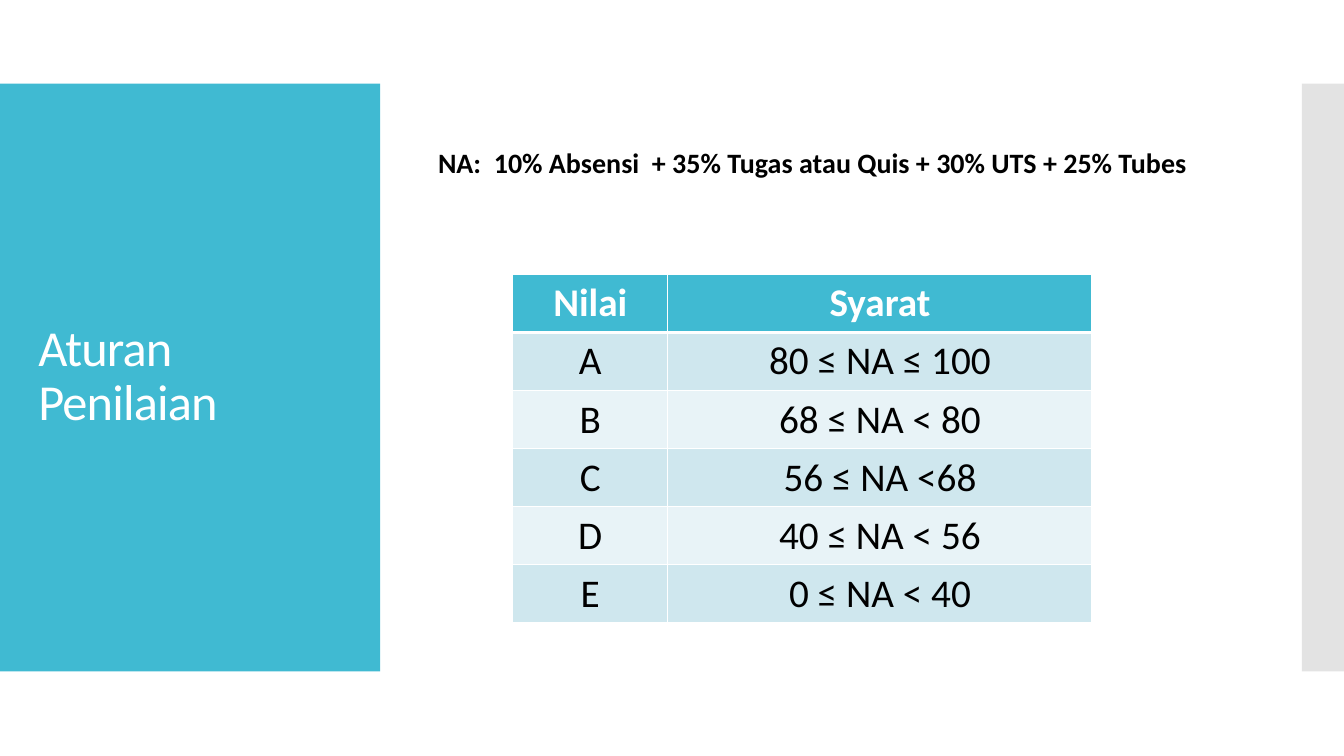
"""Build the grading rules slide."""
from lxml import etree
from pptx import Presentation
from pptx import util as u
from pptx.dml.color import RGBColor
from pptx.enum import shapes, text
from pptx.oxml import ns

TITLE = "Aturan Penilaian"
RULE = "NA:  10% Absensi  + 35% Tugas atau Quis + 30% UTS + 25% Tubes"
GRADES = [
    ("Nilai", "Syarat"),
    ("A", "80 ≤ NA ≤ 100"),
    ("B", "68 ≤ NA < 80"),
    ("C", "56 ≤ NA <68"),
    ("D", "40 ≤ NA < 56"),
    ("E", "0 ≤ NA < 40"),
]
TEAL, GREY, WHITE, BLACK = "40BAD2", "C8C8C8", "FFFFFF", "000000"
BANDS = ["E8F3F7", "CFE7EE"]
WIDTHS = [3.91, 10.69]
ROW = 1.46
PANELS = [(0, 9.58, TEAL), (32.81, 1.06, GREY)]


def paint(item, color):
    """Give a fill or line one solid colour."""
    item.fill.solid()
    item.fill.fore_color.rgb = RGBColor.from_string(color)


def style(para, size, color, bold=False):
    """Set the font of a paragraph."""
    font = para.font
    font.name, font.size, font.bold = "Calibri", u.Pt(size), bold
    font.color.rgb = RGBColor.from_string(color)


def sub(node, tag, **attrs):
    """Add a child element in the drawing namespace."""
    return etree.SubElement(node, ns.qn("a:" + tag), **attrs)


def edge(cell, head):
    """Draw the white borders of a cell."""
    props = cell._tc.get_or_add_tcPr()
    for spot, side in enumerate(("lnL", "lnR", "lnT", "lnB")):
        width = u.Pt(3 if head and side == "lnB" else 1)
        line = sub(props, side, w=str(width))
        sub(sub(line, "solidFill"), "srgbClr", val=WHITE)
        props.insert(spot, line)


def add_panels(slide):
    """Place the side panels behind the title."""
    for spot, (left, width, color) in enumerate(PANELS):
        panel = slide.shapes.add_shape(
            shapes.MSO_SHAPE.RECTANGLE, u.Cm(left), u.Cm(2.11), u.Cm(width), u.Cm(14.81))
        panel.shadow.inherit = False
        paint(panel, color)
        panel.line.fill.background()
        if color == GREY:
            tint = panel._element.spPr.find(".//" + ns.qn("a:srgbClr"))
            sub(tint, "alpha", val="50000")
        slide.shapes._spTree.insert(2 + spot, panel._element)


def add_title(slide):
    """Fill the title placeholder."""
    title = slide.shapes.title
    title.left, title.top, title.width, title.height = map(u.Cm, (0.71, 3.12, 8.18, 12.78))
    frame = title.text_frame
    frame.text = TITLE
    frame.word_wrap = True
    frame.auto_size = text.MSO_AUTO_SIZE.NONE
    frame.vertical_anchor = text.MSO_ANCHOR.MIDDLE
    para = frame.paragraphs[0]
    para.alignment, para.line_spacing = text.PP_ALIGN.LEFT, 0.9
    style(para, 36, WHITE)
    para.runs[0]._r.get_or_add_rPr().set("spc", "-60")


def add_table(slide):
    """Lay out the table of grades."""
    frame = slide.shapes.add_table(
        len(GRADES), len(WIDTHS), u.Cm(12.92), u.Cm(6.92), u.Cm(sum(WIDTHS)), u.Cm(ROW * len(GRADES)))
    table = frame.table
    for col, width in zip(table.columns, WIDTHS):
        col.width = u.Cm(width)
    for r, grade in enumerate(GRADES):
        head = r == 0
        for c, words in enumerate(grade):
            cell = table.cell(r, c)
            cell.text = words
            paint(cell, TEAL if head else BANDS[r % 2])
            edge(cell, head)
            para = cell.text_frame.paragraphs[0]
            para.alignment = text.PP_ALIGN.CENTER
            style(para, 28, WHITE if head else BLACK, head)


def add_rule(slide):
    """Write the formula above the table."""
    box = slide.shapes.add_textbox(u.Cm(10.29), u.Cm(3.12), u.Cm(20.68), u.Cm(1.4))
    frame = box.text_frame
    frame.word_wrap = True
    frame.auto_size = text.MSO_AUTO_SIZE.SHAPE_TO_FIT_TEXT
    para = frame.paragraphs[0]
    para.text = RULE
    para.alignment, para.line_spacing = text.PP_ALIGN.JUSTIFY, 1.5
    para._p.get_or_add_pPr().set("indent", str(u.Cm(0.5)))
    style(para, 20, BLACK, True)


def main():
    """Assemble and save the slide."""
    deck = Presentation()
    deck.slide_width, deck.slide_height = u.Cm(33.87), u.Cm(19.05)
    slide = deck.slides.add_slide(deck.slide_layouts[5])
    add_panels(slide)
    add_title(slide)
    add_table(slide)
    add_rule(slide)
    deck.save("out.pptx")


if __name__ == "__main__":
    main()
